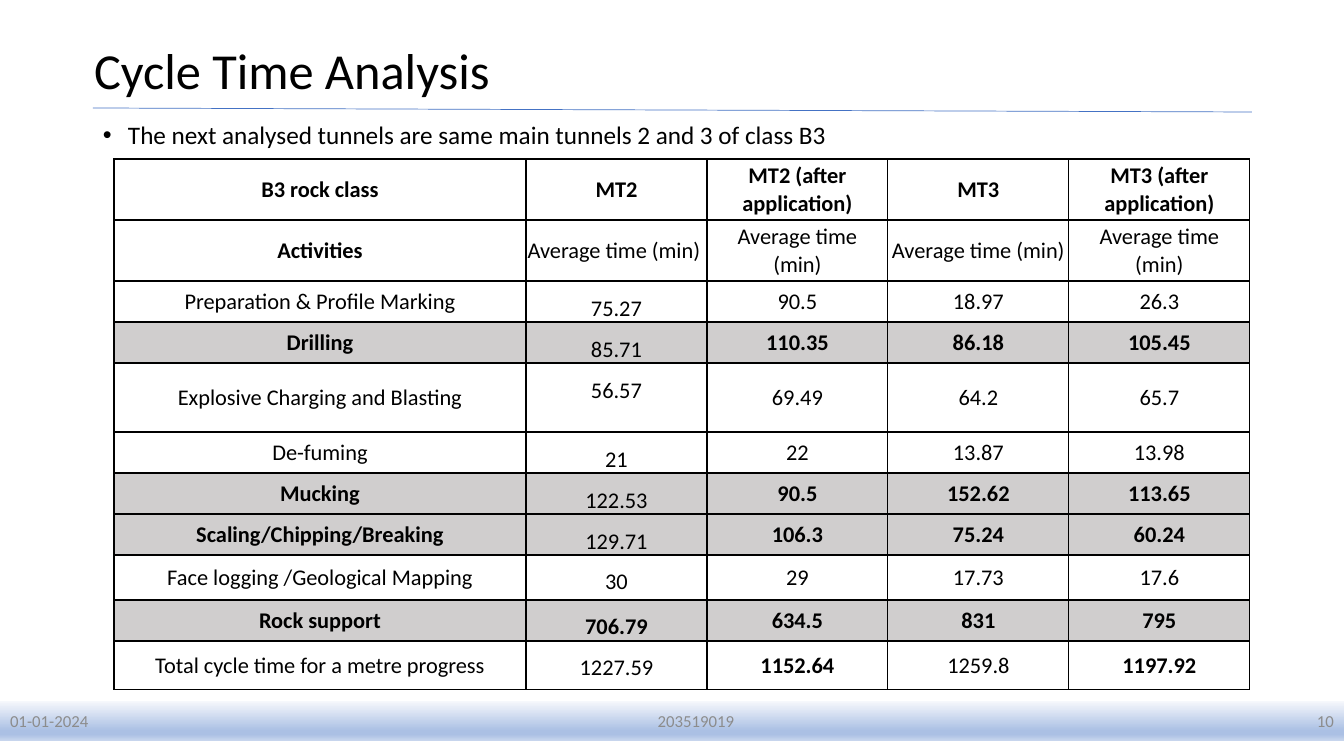
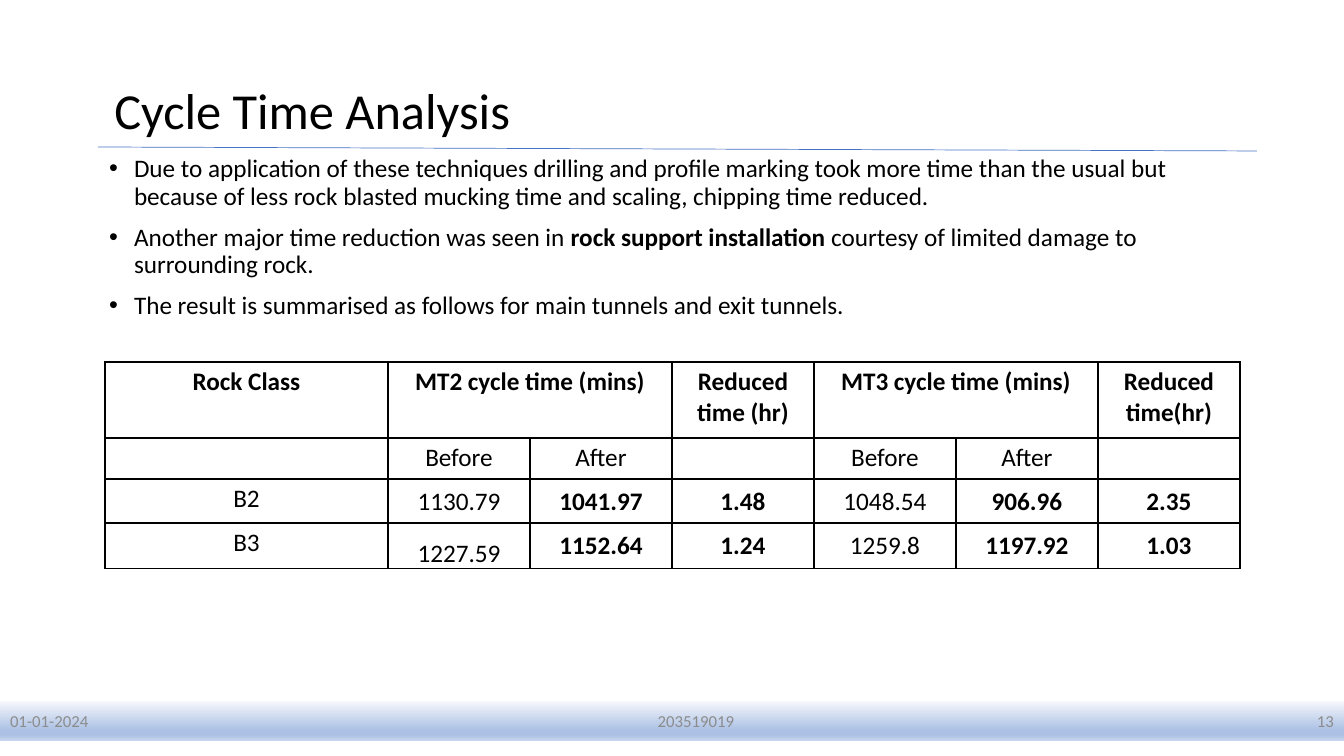
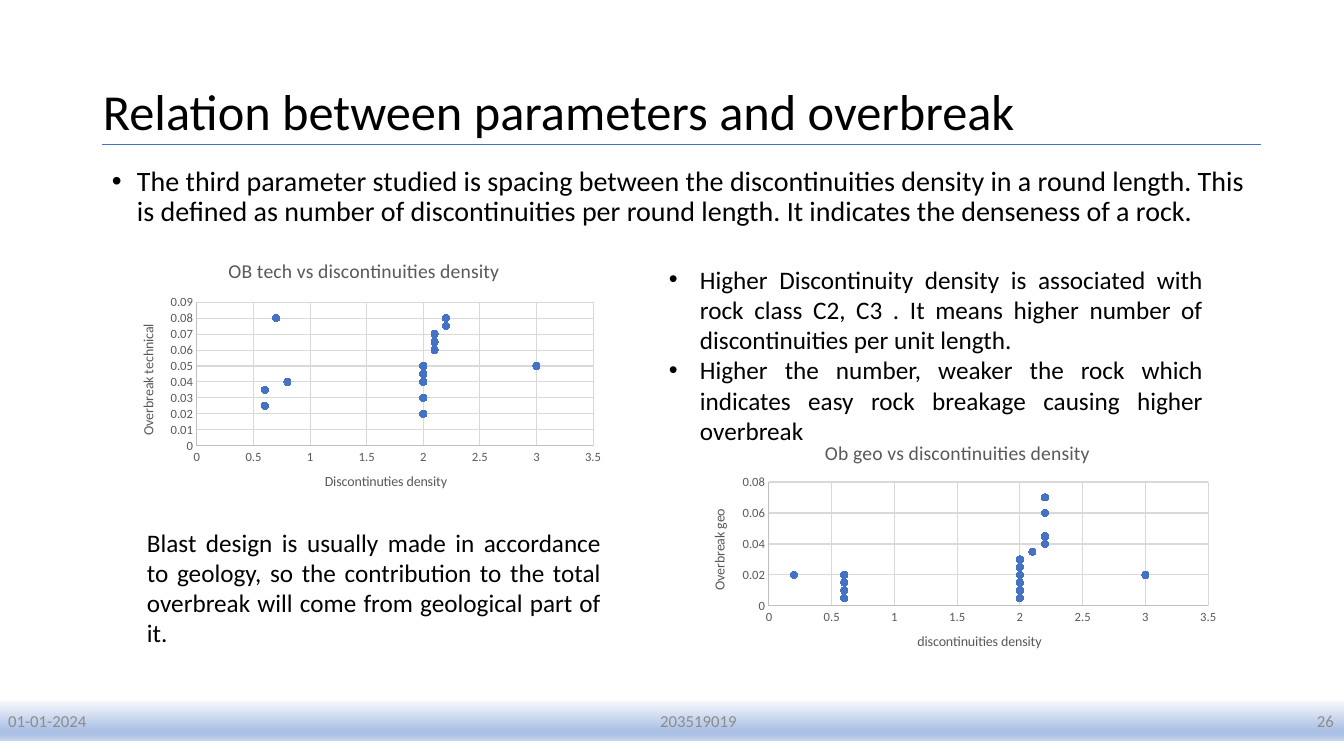
from lxml.etree import SubElement
from pptx import Presentation
from pptx.chart.data import XyChartData
from pptx.dml.color import RGBColor
from pptx.enum.chart import XL_CHART_TYPE, XL_MARKER_STYLE, XL_TICK_MARK
from pptx.enum.shapes import MSO_CONNECTOR, MSO_SHAPE
from pptx.enum.text import MSO_ANCHOR, PP_ALIGN
from pptx.oxml import parse_xml
from pptx.oxml.ns import nsdecls, qn
from pptx.util import Inches, Pt

COLORS = {
    "ink": "000000", "accent": "4472C4", "footer": "8C8C8C", "shade": "D0CECE",
    "chart_text": "595959", "axis": "BFBFBF", "grid": "D9D9D9",
}
FONT = "Calibri"
PX = Inches(40 / 3) / 1344
BAND_STOPS = [(0, "F6F8FC"), (74, "ABC0E4"), (83, "ABC0E4"), (100, "C7D5ED")]
BAND_TOP, BAND_HEIGHT = 701, 40
DATE, STUDENT_ID = "01-01-2024", "203519019"
LEFT, CENTER, RIGHT, JUSTIFY = PP_ALIGN.LEFT, PP_ALIGN.CENTER, PP_ALIGN.RIGHT, PP_ALIGN.JUSTIFY
BOX_INSETS = (10, 5, 10, 5)
TIGHT = {"anchor": MSO_ANCHOR.MIDDLE, "insets": (1, 1, 1, 0)}
LOOSE = {"insets": (7, 0, 7, 0), "spacing": 1.5, "after": 8}
PLAIN = {}

SLIDES = [
    {
        "title": "Cycle Time Analysis", "title_at": (84, 0, 1159, 146),
        "rule": (93, 108, 1252, 112), "number": "10", "footer_edges": (0, 443, 949, 1344),
        "body": "The next analysed tunnels are same main tunnels 2 and 3 of class B3",
        "body_at": (93, 118, 1159, 495), "body_size": 18,
        "table": {
            "at": (114, 159), "size": 16, "spans": [],
            "columns": [412] + [181] * 4,
            "heights": [61, 61, 41, 41, 69, 41, 41, 41, 45, 41, 49],
            "shaded": {3, 6, 7, 9},
            "plain": set(), "loose": {(row, 1) for row in range(2, 11)},
            "rows": [
                ("**B3 rock class", "**MT2", "**MT2 (after application)", "**MT3",
                 "**MT3 (after application)"),
                ("**Activities", "Average time (min) ", "Average time\n(min)",
                 "Average time (min)", "Average time\n(min)"),
                ("Preparation & Profile Marking", "75.27", "90.5", "18.97", "26.3"),
                ("**Drilling", "85.71", "**110.35", "**86.18", "**105.45"),
                ("Explosive Charging and Blasting", "56.57", "69.49", "64.2", "65.7"),
                ("De-fuming", "21", "22", "13.87", "13.98"),
                ("**Mucking", "122.53", "**90.5", "**152.62", "**113.65"),
                ("**Scaling/Chipping/Breaking", "129.71", "**106.3", "**75.24", "**60.24"),
                ("Face logging /Geological Mapping", "30", "29", "17.73", "17.6"),
                ("**Rock support", "**706.79", "**634.5", "**831", "**795"),
                ("Total cycle time for a metre progress", "1227.59", "**1152.64", "1259.8",
                 "**1197.92"),
            ],
        },
    },
    {
        "title": " Cycle Time Analysis", "title_at": (93, 40, 1159, 146),
        "rule": (98, 147, 1257, 151), "number": "13", "footer_edges": (0, 443, 949, 1344),
        "body": "Due to application of these techniques drilling and profile marking took more time "
                "than the usual but because of less rock blasted mucking time and scaling, chipping "
                "time reduced.\n"
                "Another major time reduction was seen in **rock support installation **courtesy of "
                "limited damage to surrounding rock.\n"
                "The result is summarised as follows for main tunnels and exit tunnels.",
        "body_at": (99, 151, 1159, 495), "body_size": 18,
        "table": {
            "at": (105, 362), "size": 18, "spans": [(0, 1, 2), (0, 4, 5)],
            "columns": [283] + [142] * 6,
            "heights": [76, 41, 44, 45],
            "shaded": set(),
            "plain": {(row, column) for row in range(4) for column in range(7)
                      if row < 2 or column == 0},
            "loose": {(3, 1)},
            "rows": [
                ("**Rock Class", "**MT2 cycle time (mins)", "", "**Reduced time (hr)",
                 "**MT3 cycle time (mins)", "", "**Reduced time(hr)"),
                ("", "Before", "After", "", "Before", "After", ""),
                ("B2", "1130.79", "**1041.97", "**1.48", "1048.54", "**906.96", "**2.35"),
                ("B3", "1227.59", "**1152.64", "**1.24", "1259.8", "**1197.92", "**1.03"),
            ],
        },
    },
    {
        "title": "Relation between parameters and overbreak", "title_at": (93, 41, 1159, 146),
        "rule": (102, 144, 1261, 144), "number": "26", "footer_edges": (-2, 448, 949, 1344),
        "body": "The third parameter studied is spacing between the discontinuities density in a "
                "round length. This is defined as number of discontinuities per round length. "
                "It indicates the denseness of a rock.",
        "body_at": (102, 162, 1159, 480), "body_size": 20,
        "charts": [
            {
                "at": (117, 243, 494, 270), "plot": (197, 302, 396, 144),
                "title": "OB tech vs discontinuities density",
                "x_title": "Discontinuties density", "y_title": "Overbreak technical",
                "y_max": 0.09, "y_step": 0.01,
                "points": [
                    (0.6, 0.025), (0.6, 0.035), (0.8, 0.04), (0.7, 0.08), (2, 0.02), (2, 0.03),
                    (2, 0.04), (2, 0.045), (2, 0.05), (2.1, 0.06), (2.1, 0.065), (2.1, 0.07),
                    (2.2, 0.075), (2.2, 0.08), (2.2, 0.08), (3, 0.05),
                ],
            },
            {
                "at": (689, 425, 537, 246), "plot": (769, 482, 439, 124),
                "title": "Ob geo vs discontinuities density",
                "x_title": "discontinuities density", "y_title": "Overbreak geo",
                "y_max": 0.08, "y_step": 0.02,
                "points": [
                    (0.2, 0.02), (0.6, 0.005), (0.6, 0.01), (0.6, 0.015), (0.6, 0.02),
                    (2, 0.005), (2, 0.005), (2, 0.01), (2, 0.015), (2, 0.02), (2, 0.025),
                    (2, 0.03), (2.1, 0.035), (2.2, 0.04), (2.2, 0.045), (2.2, 0.045),
                    (2.2, 0.06), (2.2, 0.07), (3, 0.02),
                ],
            },
        ],
        "notes": [
            {
                "at": (659, 259, 554, 194), "indent": 31,
                "text": "Higher Discontinuity density is associated with rock class C2, C3 . "
                        "It means higher number of discontinuities per unit length.\n"
                        "Higher the number, weaker the rock which indicates easy rock breakage "
                        "causing higher overbreak",
            },
            {
                "at": (137, 522, 474, 132), "indent": 0,
                "text": "Blast design is usually made in accordance to geology, so the "
                        "contribution to the total overbreak will come from geological part of it.",
            },
        ],
    },
]


def px(*lengths):
    return [round(length * PX) for length in lengths]


def rgb(name):
    return RGBColor.from_string(COLORS[name])


def style_font(font, size, color, bold=False):
    font.name, font.size, font.bold = FONT, Pt(size), bold
    font.color.rgb = rgb(color)


def write_text(frame, text, *, size=18, color="ink", align=LEFT, spacing=None,
               before=0, after=0, indent=0):
    for index, line in enumerate(text.split("\n")):
        para = frame.paragraphs[0] if index == 0 else frame.add_paragraph()
        para.alignment = align
        para.space_before, para.space_after = Pt(before), Pt(after)
        if spacing:
            para.line_spacing = spacing
        if indent:
            properties = para._p.get_or_add_pPr()
            margin = px(indent)[0]
            properties.set("marL", str(margin))
            properties.set("indent", str(-margin))
            SubElement(properties, qn("a:buFont")).set("typeface", "Arial")
            SubElement(properties, qn("a:buChar")).set("char", "•")
        for part, words in enumerate(line.split("**")):
            if words:
                span = para.add_run()
                span.text = words
                style_font(span.font, size, color, part % 2 == 1)


def set_insets(holder, insets):
    (holder.margin_left, holder.margin_top,
     holder.margin_right, holder.margin_bottom) = px(*insets)


def add_text(page, at, text, *, anchor=MSO_ANCHOR.TOP, **style):
    frame = page.shapes.add_textbox(*px(*at)).text_frame
    frame.word_wrap = True
    frame.vertical_anchor = anchor
    set_insets(frame, BOX_INSETS)
    write_text(frame, text, **style)


def add_footer(page, edges, number):
    stops = "".join(f'<a:gs pos="{place * 1000}"><a:srgbClr val="{color}"/></a:gs>'
                    for place, color in BAND_STOPS)
    labels = [(DATE, LEFT), (STUDENT_ID, CENTER), (number, RIGHT)]
    for start, end, (label, align) in zip(edges, edges[1:], labels):
        band = page.shapes.add_shape(MSO_SHAPE.RECTANGLE,
                                     *px(start, BAND_TOP, end - start, BAND_HEIGHT))
        band.shadow.inherit = False
        band.line.fill.background()
        band.fill.gradient()
        gradient = band._element.spPr.find(qn("a:gradFill"))
        gradient.getparent().replace(gradient, parse_xml(
            f'<a:gradFill {nsdecls("a")} rotWithShape="1"><a:gsLst>{stops}</a:gsLst>'
            '<a:lin ang="5400000" scaled="0"/></a:gradFill>'))
        frame = band.text_frame
        frame.vertical_anchor = MSO_ANCHOR.MIDDLE
        set_insets(frame, BOX_INSETS)
        write_text(frame, label, size=12, color="footer", align=align)


def add_rule(page, ends):
    rule = page.shapes.add_connector(MSO_CONNECTOR.STRAIGHT, *px(*ends))
    rule.line.color.rgb = rgb("accent")
    rule.line.width = Pt(0.5)
    SubElement(rule._element.spPr, qn("a:effectLst"))


def add_borders(cell):
    properties = cell._tc.get_or_add_tcPr()
    for side in ("lnL", "lnR", "lnT", "lnB"):
        properties.append(parse_xml(
            f'<a:{side} {nsdecls("a")} w="12700"><a:solidFill>'
            f'<a:srgbClr val="{COLORS["ink"]}"/></a:solidFill></a:{side}>'))


def add_grid(page, data):
    columns, heights = data["columns"], data["heights"]
    table = page.shapes.add_table(len(heights), len(columns),
                                  *px(*data["at"], sum(columns), sum(heights))).table
    table.first_row = table.horz_banding = False
    for column, width in zip(table.columns, px(*columns)):
        column.width = width
    for row, height in zip(table.rows, px(*heights)):
        row.height = height
    for row, texts in enumerate(data["rows"]):
        for column, text in enumerate(texts):
            cell = table.cell(row, column)
            place = (row, column)
            style = dict(LOOSE if place in data["loose"] else
                         PLAIN if place in data["plain"] else TIGHT)
            cell.vertical_anchor = style.pop("anchor", MSO_ANCHOR.TOP)
            set_insets(cell, style.pop("insets", BOX_INSETS))
            add_borders(cell)
            if row in data["shaded"]:
                cell.fill.solid()
                cell.fill.fore_color.rgb = rgb("shade")
            else:
                cell.fill.background()
            write_text(cell.text_frame, text, size=data["size"], align=CENTER, **style)
    for row, first, last in data["spans"]:
        table.cell(row, first).merge(table.cell(row, last))


def style_axis(axis, title, maximum, step):
    axis.minimum_scale, axis.maximum_scale, axis.major_unit = 0, maximum, step
    axis.major_tick_mark = axis.minor_tick_mark = XL_TICK_MARK.NONE
    axis.has_major_gridlines = True
    for line, color in ((axis.format.line, "axis"), (axis.major_gridlines.format.line, "grid")):
        line.color.rgb = rgb(color)
        line.width = Pt(0.75)
    axis.tick_labels.number_format = "General"
    axis.tick_labels.number_format_is_linked = False
    style_font(axis.tick_labels.font, 9, "chart_text")
    write_text(axis.axis_title.text_frame, title, size=10, color="chart_text", align=CENTER)


def place_plot(chart, at, plot):
    left, top, width, height = at
    places = {"x": (plot[0] - left) / width, "y": (plot[1] - top) / height,
              "w": plot[2] / width, "h": plot[3] / height}
    area = chart._chartSpace.chart.plotArea
    for old in area.findall(qn("c:layout")):
        area.remove(old)
    values = "".join(f'<c:{key} val="{value:.3f}"/>' for key, value in places.items())
    area.insert(0, parse_xml(
        f'<c:layout {nsdecls("c")}><c:manualLayout><c:layoutTarget val="inner"/>'
        f'<c:xMode val="edge"/><c:yMode val="edge"/>{values}</c:manualLayout></c:layout>'))


def add_scatter(page, data):
    chart_data = XyChartData()
    series_data = chart_data.add_series("Series 1")
    for x, y in data["points"]:
        series_data.add_data_point(x, y)
    chart = page.shapes.add_chart(XL_CHART_TYPE.XY_SCATTER, *px(*data["at"]), chart_data).chart
    style_font(chart.font, 10, "ink")
    chart.has_legend = False
    chart.has_title = True
    write_text(chart.chart_title.text_frame, data["title"], size=14, color="chart_text",
               align=CENTER)
    style_axis(chart.category_axis, data["x_title"], 3.5, 0.5)
    style_axis(chart.value_axis, data["y_title"], data["y_max"], data["y_step"])
    chart.plots[0].vary_by_categories = False
    series = chart.plots[0].series[0]
    series.smooth = False
    series.format.line.fill.background()
    series.marker.style, series.marker.size = XL_MARKER_STYLE.CIRCLE, 5
    series.marker.format.fill.solid()
    series.marker.format.fill.fore_color.rgb = rgb("accent")
    series.marker.format.line.color.rgb = rgb("accent")
    place_plot(chart, data["at"], data["plot"])


def main():
    deck = Presentation()
    deck.slide_width, deck.slide_height = px(1344, 756)
    for content in SLIDES:
        page = deck.slides.add_slide(deck.slide_layouts[6])
        add_text(page, content["title_at"], content["title"], size=36, spacing=0.9,
                 anchor=MSO_ANCHOR.MIDDLE)
        add_text(page, content["body_at"], content["body"], size=content["body_size"],
                 spacing=0.9, before=10, indent=25)
        add_footer(page, content["footer_edges"], content["number"])
        add_rule(page, content["rule"])
        if "table" in content:
            add_grid(page, content["table"])
        for data in content.get("charts", []):
            add_scatter(page, data)
        for note in content.get("notes", []):
            add_text(page, note["at"], note["text"], align=JUSTIFY, indent=note["indent"])
    deck.save("out.pptx")


if __name__ == "__main__":
    main()
